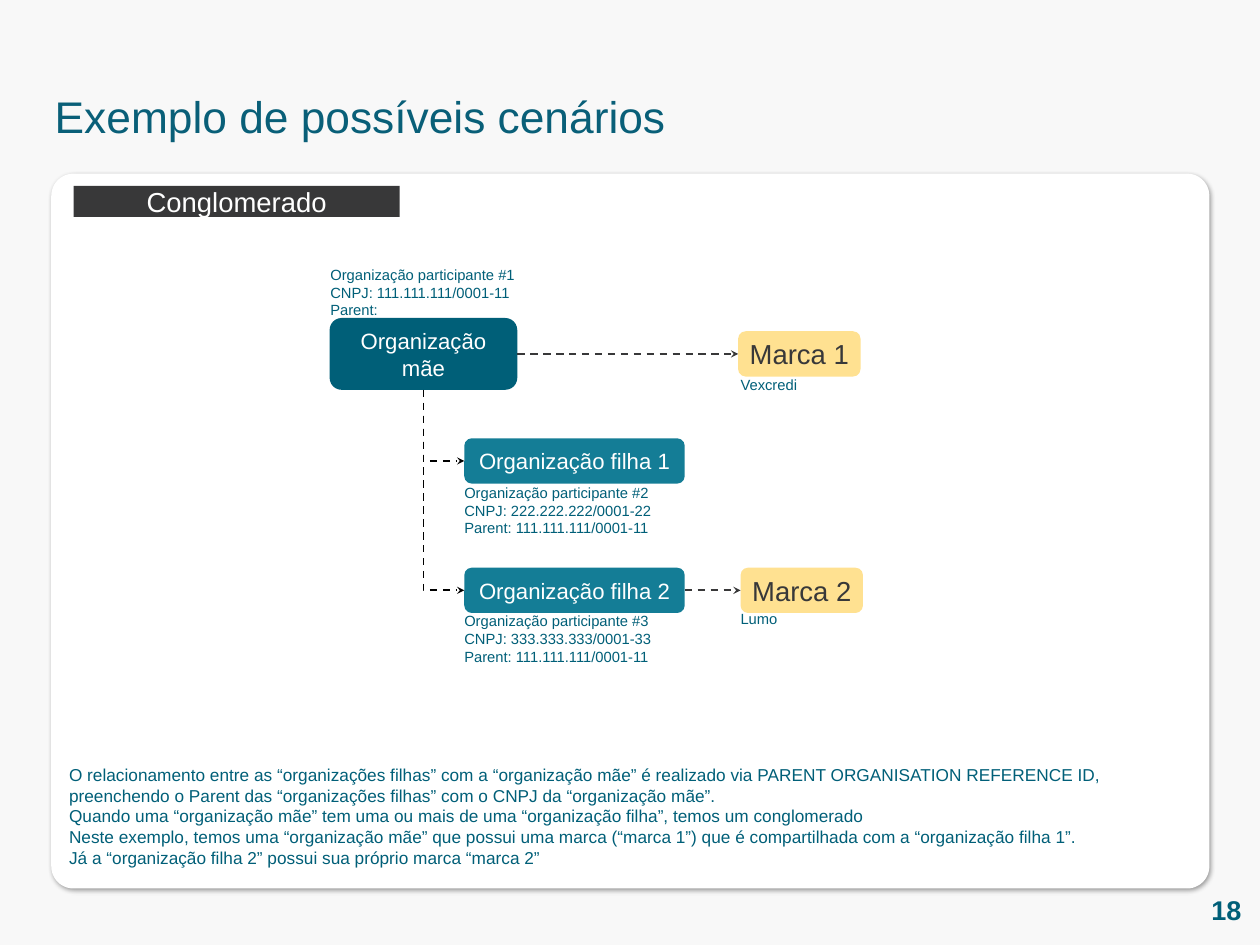
import pptx
import pptx.dml.color
import pptx.enum.dml
import pptx.enum.shapes
import pptx.enum.text
import pptx.oxml
import pptx.oxml.ns
import pptx.util

Cm = pptx.util.Cm
Pt = pptx.util.Pt
RGBColor = pptx.dml.color.RGBColor
SHAPE = pptx.enum.shapes.MSO_SHAPE
CONNECTOR = pptx.enum.shapes.MSO_CONNECTOR
ALIGN = pptx.enum.text.PP_ALIGN
ANCHOR = pptx.enum.text.MSO_ANCHOR

BACKGROUND = RGBColor(0xF8, 0xF8, 0xF8)
WHITE = RGBColor(0xFF, 0xFF, 0xFF)
BLACK = RGBColor(0x00, 0x00, 0x00)
CHARCOAL = RGBColor(0x38, 0x38, 0x39)
PETROL = RGBColor(0x00, 0x5F, 0x78)
TITLE_BLUE = RGBColor(0x09, 0x5F, 0x78)
TEAL = RGBColor(0x14, 0x7D, 0x96)
YELLOW = RGBColor(0xFF, 0xE1, 0x91)

LABEL = "Organização participante #{}\vCNPJ: {}\nParent:{}"
MOTHER_CNPJ = "111.111.111/0001-11"
NOTES = "\n".join([
    "O relacionamento entre as “organizações filhas” com a “organização mãe” é realizado via "
    "PARENT ORGANISATION REFERENCE ID, preenchendo o Parent das “organizações filhas” com o CNPJ "
    "da “organização mãe”.",
    "Quando uma “organização mãe” tem uma ou mais de uma “organização filha”, temos um conglomerado",
    "Neste exemplo, temos uma “organização mãe” que possui uma marca (“marca 1”) que é "
    "compartilhada com a “organização filha 1”.",
    "Já a “organização filha 2” possui sua próprio marca “marca 2”",
])


def write(tf, text, size, color, align=ALIGN.LEFT, bold=False):
    tf.word_wrap = True
    tf.text = text
    font = {"name": "Arial", "size": Pt(size), "bold": bold}
    for p in tf.paragraphs:
        p.alignment = align
        for r in p.runs:
            for key, value in font.items():
                setattr(r.font, key, value)
            r.font.color.rgb = color


def add_text(s, box, text, size, color=PETROL, anchor=ANCHOR.TOP, **style):
    tf = s.shapes.add_textbox(*map(Cm, box)).text_frame
    margins = dict.fromkeys(
        ("margin_left", "margin_top", "margin_right", "margin_bottom"), 0)
    for key, value in {**margins, "vertical_anchor": anchor}.items():
        setattr(tf, key, value)
    write(tf, text, size, color, **style)


def add_block(s, box, fill, text="", size=18, color=WHITE, kind=SHAPE.ROUNDED_RECTANGLE):
    sp = s.shapes.add_shape(kind, *map(Cm, box))
    sp.shadow.inherit = False
    sp.fill.solid()
    sp.fill.fore_color.rgb = fill
    sp.line.fill.background()
    if text:
        sp.text_frame.vertical_anchor = ANCHOR.MIDDLE
        write(sp.text_frame, text, size, color, ALIGN.CENTER)
    return sp


def add_arrow(s, start, end, color):
    """Draw a dashed straight connector with an arrowhead at its end."""
    c = s.shapes.add_connector(CONNECTOR.STRAIGHT, *start, *end)
    c.line.color.rgb = color
    c.line.width = Pt(1.5)
    c.line.dash_style = pptx.enum.dml.MSO_LINE.DASH
    ln = c.line._get_or_add_ln()
    ln.append(pptx.oxml.parse_xml(
        f'<a:tailEnd {pptx.oxml.ns.nsdecls("a")} type="stealth"/>'))
    c._element.spPr.append(pptx.oxml.parse_xml(
        f'<a:effectLst {pptx.oxml.ns.nsdecls("a")}/>'))
    return c


def link_brand(s, owner, brand):
    c = add_arrow(s, (0, 0), (0, 0), CHARCOAL)
    c.begin_connect(owner, 3)
    c.end_connect(brand, 1)


def link_daughter(s, mother, daughter):
    """Bend from the mother's bottom to the daughter's left: a quarter-turned, flipped elbow."""
    x1, y1 = mother.left + mother.width // 2, mother.top + mother.height
    x2, y2 = daughter.left, daughter.top + daughter.height // 2
    cx, cy = (x1 + x2) // 2, (y1 + y2) // 2
    half_w, half_h = (y2 - y1) // 2, (x2 - x1) // 2
    c = add_arrow(s, (cx + half_w, cy - half_h), (cx - half_w, cy + half_h), BLACK)
    spPr = c._element.spPr
    spPr.find(pptx.oxml.ns.qn("a:xfrm")).set("rot", str(270 * 60000))
    spPr.find(pptx.oxml.ns.qn("a:prstGeom")).set("prst", "bentConnector2")


def add_card(s, x, y, w, h):
    card = add_block(s, (x, y, w, h), WHITE)
    card.adjustments[0] = 0.031
    effects = card._element.spPr.find(pptx.oxml.ns.qn("a:effectLst"))
    effects.append(pptx.oxml.parse_xml(
        f'<a:outerShdw {pptx.oxml.ns.nsdecls("a")} blurRad="{Pt(4)}" dist="{Pt(3)}" '
        f'dir="{45 * 60000}" algn="tl" rotWithShape="0"><a:srgbClr val="{BLACK}">'
        '<a:alpha val="40000"/></a:srgbClr></a:outerShdw>'))
    add_block(s, (x + 0.64, y + 0.35, 9.35, 0.89), CHARCOAL, "Conglomerado", 22.3,
              kind=SHAPE.RECTANGLE)
    add_text(s, (x + 0.51, y + 16.94, w - 1.22, 3), NOTES, 14)


def add_diagram(s, x, y):
    mother = add_block(s, (x, y + 1.5, 5.38, 2.06), PETROL, "Organização mãe")
    add_text(s, (x + 0.02, y, 9.32, 1.55), LABEL.format(1, MOTHER_CNPJ, ""), 12)

    daughters = []
    for number, top, label_top, cnpj in ((1, 4.95, 6.25, "222.222.222/0001-22"),
                                         (2, 8.66, 9.93, "333.333.333/0001-33")):
        daughter = add_block(s, (x + 3.86, y + top, 6.32, 1.3), TEAL,
                             f"Organização filha {number}")
        add_text(s, (x + 3.86, y + label_top, 7, 1.55),
                 LABEL.format(number + 1, cnpj, f" {MOTHER_CNPJ}"), 12)
        link_daughter(s, mother, daughter)
        daughters.append(daughter)

    for number, owner, left, top, name_top, name in (
            (1, mother, 11.71, 1.88, 3.15, "Vexcredi"),
            (2, daughters[1], 11.78, 8.66, 9.86, "Lumo")):
        brand = add_block(s, (x + left, y + top, 3.51, 1.3), YELLOW,
                          f"Marca {number}", 22.3, CHARCOAL)
        add_text(s, (x + 11.78, y + name_top, 9.32, 0.51), name, 12)
        link_brand(s, owner, brand)


def add_scenario_slide(prs):
    s = prs.slides.add_slide(prs.slide_layouts[6])
    s.background.fill.solid()
    s.background.fill.fore_color.rgb = BACKGROUND
    add_text(s, (1.57, 2.57, 20, 1.55), "Exemplo de possíveis cenários", 36, TITLE_BLUE)
    add_card(s, 1.47, 4.98, 33.2, 20.5)
    add_diagram(s, 9.45, 7.62)
    add_text(s, (33.53, 25.48, 2.06, 1.19), "18", 22, anchor=ANCHOR.MIDDLE,
             align=ALIGN.RIGHT, bold=True)


def main():
    prs = pptx.Presentation()
    prs.slide_width, prs.slide_height = Cm(36.12), Cm(27.1)
    add_scenario_slide(prs)
    prs.save("out.pptx")


if __name__ == "__main__":
    main()
